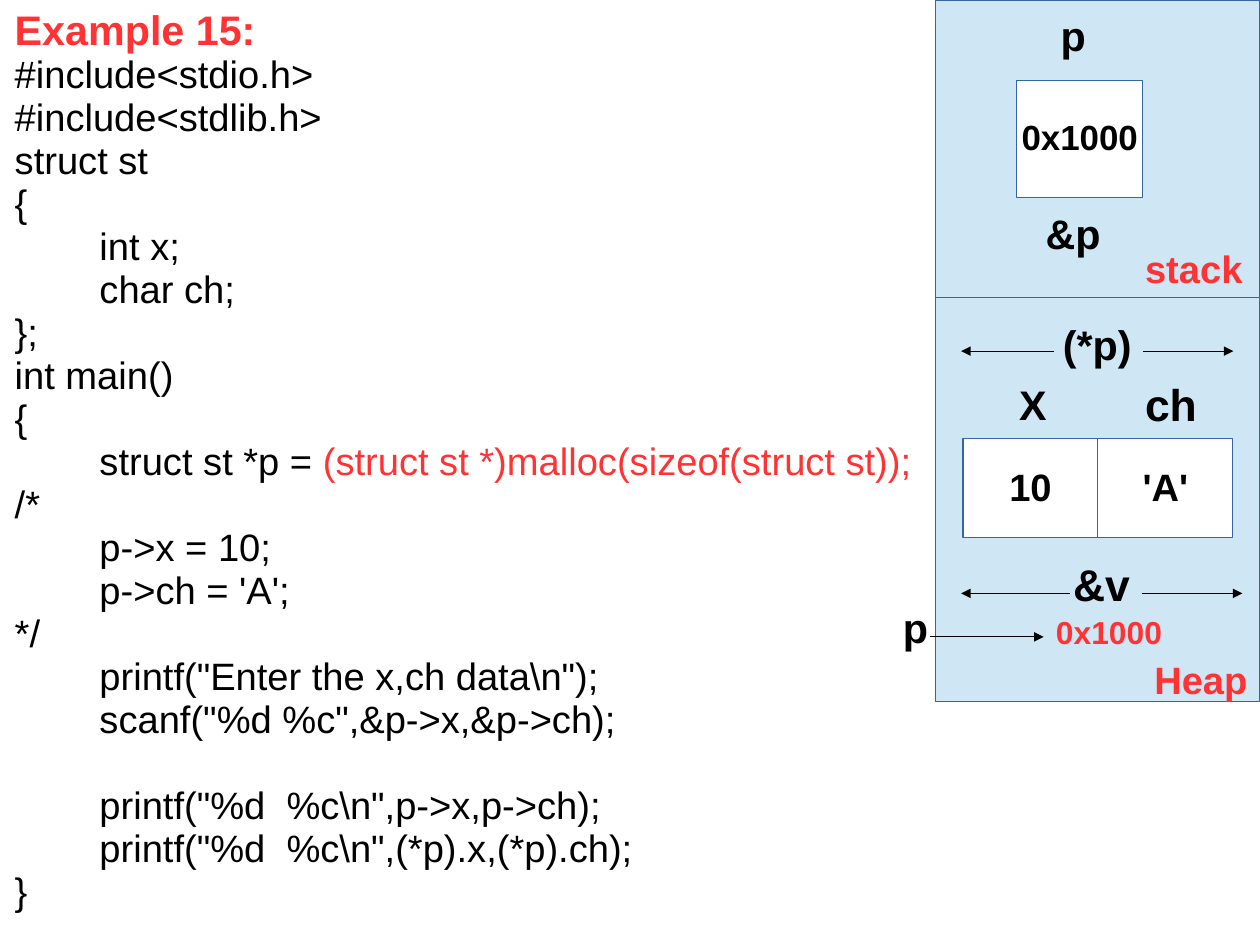
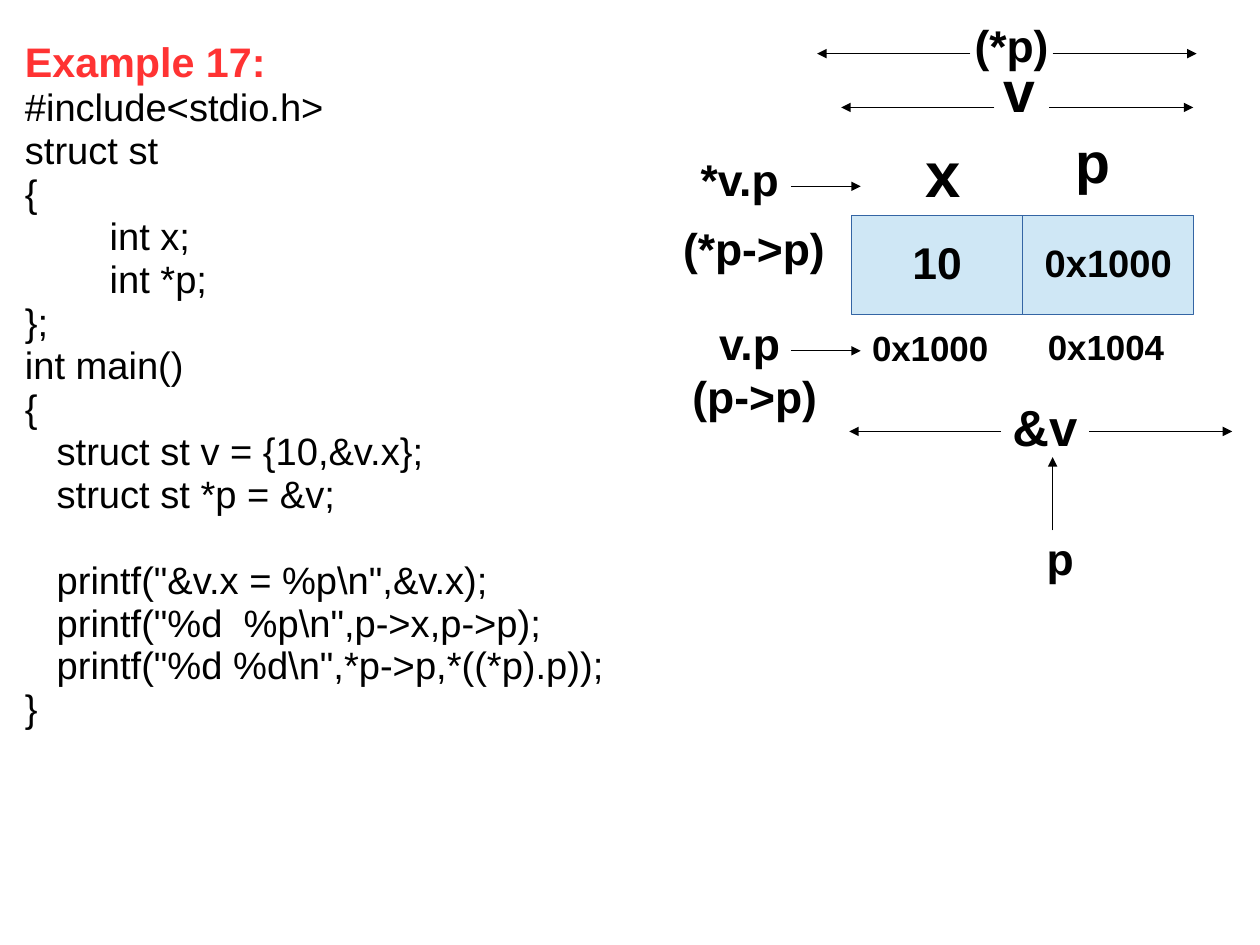
from dataclasses import dataclass
from typing import NamedTuple

from lxml import etree
from pptx import Presentation
from pptx.dml.color import RGBColor
from pptx.enum.shapes import MSO_CONNECTOR, MSO_SHAPE
from pptx.enum.text import MSO_ANCHOR, PP_ALIGN
from pptx.oxml.ns import qn
from pptx.util import Pt

RECTANGLE = MSO_SHAPE.RECTANGLE
STRAIGHT = MSO_CONNECTOR.STRAIGHT
MIDDLE = MSO_ANCHOR.MIDDLE
LEFT = PP_ALIGN.LEFT
CENTER = PP_ALIGN.CENTER
LEFT_SIDE, RIGHT_SIDE = 1, 3


@dataclass(frozen=True)
class Theme:
    """Colours, type sizes and measures shared by the slides."""
    font: str = "Arial"
    ink: RGBColor = RGBColor(0x00, 0x00, 0x00)
    accent: RGBColor = RGBColor(0xFF, 0x33, 0x33)
    panel: RGBColor = RGBColor(0xCF, 0xE7, 0xF5)
    white: RGBColor = RGBColor(0xFF, 0xFF, 0xFF)
    border: RGBColor = RGBColor(0x34, 0x65, 0xA4)
    title: float = 26
    code: float = 24
    address: float = 22
    pointer: float = 20
    name: float = 26
    value: float = 28
    whole: float = 32
    variable: float = 36
    member: float = 40
    line_width: float = 0.75
    line_spacing: float = 0.94
    shallow: float = 20
    deep: float = 53.4
    blank_line: float = 27


THEME = Theme()


class Line(NamedTuple):
    """One line of a program listing."""
    text: str
    indent: float = 0
    accent: str = ""
    gap: float = 0


EXAMPLE_15 = [
    Line("#include<stdio.h>"),
    Line("#include<stdlib.h>"),
    Line("struct st"),
    Line("{"),
    Line("int x;", THEME.deep),
    Line("char ch;", THEME.deep),
    Line("};"),
    Line("int main()"),
    Line("{"),
    Line("struct st *p = ", THEME.deep, "(struct st *)malloc(sizeof(struct st));"),
    Line("/*"),
    Line("p->x = 10;", THEME.deep),
    Line("p->ch = 'A';", THEME.deep),
    Line("*/"),
    Line(r'printf("Enter the x,ch data\n");', THEME.deep),
    Line('scanf("%d %c",&p->x,&p->ch);', THEME.deep),
    Line(r'printf("%d  %c\n",p->x,p->ch);', THEME.deep, gap=THEME.blank_line),
    Line(r'printf("%d  %c\n",(*p).x,(*p).ch);', THEME.deep),
    Line("}"),
]

EXAMPLE_17 = [
    Line("#include<stdio.h>"),
    Line("struct st"),
    Line("{"),
    Line("int x;", THEME.deep),
    Line("int *p;", THEME.deep),
    Line("};"),
    Line("int main()"),
    Line("{"),
    Line("struct st v = {10,&v.x};", THEME.shallow),
    Line("struct st *p = &v;", THEME.shallow),
    Line(r'printf("&v.x = %p\n",&v.x);', THEME.shallow, gap=THEME.blank_line),
    Line(r'printf("%d  %p\n",p->x,p->p);', THEME.shallow),
    Line(r'printf("%d %d\n",*p->p,*((*p).p));', THEME.shallow),
    Line("}"),
]


def add_run(paragraph, text, size, color=THEME.ink, bold=True):
    """Append one styled run to a paragraph."""
    run = paragraph.add_run()
    run.text = text
    run.font.name = THEME.font
    run.font.size = Pt(size)
    run.font.bold = bold
    run.font.color.rgb = color


def set_line(frame, text, size, color=THEME.ink, align=LEFT):
    """Fill a frame with one unwrapped bold line."""
    frame.word_wrap = False
    paragraph = frame.paragraphs[0]
    paragraph.alignment = align
    paragraph.line_spacing = THEME.line_spacing
    add_run(paragraph, text, size, color)


def add_listing(slide, left, top, width, height, title, lines):
    """Add a titled program listing."""
    box = slide.shapes.add_textbox(Pt(left), Pt(top), Pt(width), Pt(height))
    frame = box.text_frame
    frame.word_wrap = True
    heading = frame.paragraphs[0]
    heading.line_spacing = THEME.line_spacing
    add_run(heading, title, THEME.title, THEME.accent)
    for line in lines:
        paragraph = frame.add_paragraph()
        paragraph.line_spacing = THEME.line_spacing
        paragraph.space_before = Pt(line.gap)
        properties = paragraph._p.get_or_add_pPr()
        properties.set("marL", str(Pt(line.indent)))
        properties.set("indent", "0")
        add_run(paragraph, line.text, THEME.code, bold=False)
        if line.accent:
            add_run(paragraph, line.accent, THEME.code, THEME.accent, False)


def add_label(slide, text, left, top, width, size, color=THEME.ink):
    """Add a bold label with no right inset, its height following its type size."""
    height = 1.2 * size + 7
    label = slide.shapes.add_textbox(Pt(left), Pt(top), Pt(width), Pt(height))
    label.text_frame.margin_right = 0
    set_line(label.text_frame, text, size, color)
    return label


def add_block(slide, left, top, width, height, fill, text="", size=THEME.code):
    """Add a memory block with an optional centred value."""
    block = slide.shapes.add_shape(RECTANGLE, Pt(left), Pt(top), Pt(width), Pt(height))
    block.shadow.inherit = False
    block.fill.solid()
    block.fill.fore_color.rgb = fill
    block.line.color.rgb = THEME.border
    block.line.width = Pt(THEME.line_width)
    if text:
        block.text_frame.vertical_anchor = MIDDLE
        set_line(block.text_frame, text, size, align=CENTER)


def add_members(slide, left, top, width, height, fill, members):
    """Add adjoining blocks, one for each struct member."""
    for index, (value, size) in enumerate(members):
        add_block(slide, left + index * width, top, width, height, fill, value, size)


def add_arrow(slide, start_x, start_y, end_x, end_y):
    """Add a thin line with an arrowhead at its end."""
    arrow = slide.shapes.add_connector(
        STRAIGHT, Pt(start_x), Pt(start_y), Pt(end_x), Pt(end_y))
    arrow.line.color.rgb = THEME.ink
    arrow.line.width = Pt(THEME.line_width)
    etree.SubElement(arrow.line._get_or_add_ln(), qn("a:tailEnd"), type="triangle")
    etree.SubElement(arrow._element.spPr, qn("a:effectLst"))
    return arrow


def add_extent(slide, y, left_tip, left_start, right_start, right_tip):
    """Add two arrows pointing outwards from a label."""
    return (add_arrow(slide, left_start, y, left_tip, y),
            add_arrow(slide, right_start, y, right_tip, y))


def build_heap_slide(slide):
    """Draw a struct allocated on the heap."""
    add_listing(slide, 2.2, 1.4, 587.5, 550, "Example 15:", EXAMPLE_15)
    add_block(slide, 589.5, 0, 204.2, 187.2, THEME.panel)
    add_block(slide, 589.5, 187.2, 204.2, 254.9, THEME.panel)
    add_block(slide, 640.6, 50.8, 79.2, 73.6, THEME.white, "0x1000", THEME.address)
    add_members(slide, 606.6, 276.3, 85, 62.4, THEME.white,
                [("10", THEME.code), ("'A'", THEME.code)])
    for label in [
        ("stack", 714.2, 153.4, 75.6, THEME.code, THEME.accent),
        ("Heap", 720, 412.4, 73.4, THEME.code, THEME.accent),
        ("p", 661, 5.5, 30.2, THEME.name),
        ("&p", 651.6, 130.3, 52.6, THEME.name),
        ("(*p)", 662.4, 200.2, 57.6, THEME.name),
        ("X", 635, 238.1, 31.7, THEME.name),
        ("ch", 714.2, 236.9, 46.8, THEME.value),
        ("&v", 668.9, 349.9, 52, THEME.value),
        ("0x1000", 658.1, 384.5, 85, THEME.pointer, THEME.accent),
        ("p", 561.6, 378.7, 30.2, THEME.name),
    ]:
        add_label(slide, *label)
    add_extent(slide, 221.2, 605.5, 663.8, 720, 776.9)
    add_extent(slide, 373.8, 605.5, 673.9, 719.3, 782.6)
    add_arrow(slide, 586.1, 401.2, 657.4, 401.2)


def build_pointer_slide(slide):
    """Draw a struct that points to its own member."""
    add_listing(slide, 8.6, 22, 467.3, 482.4, "Example 17:", EXAMPLE_17)
    add_members(slide, 536.4, 135.6, 107.8, 62.4, THEME.panel,
                [("10", THEME.value), ("0x1000", THEME.code)])
    for label in [
        ("(*p)", 606.8, 10.4, 61.2, THEME.value),
        ("v", 625, 35, 34.6, THEME.variable),
        ("x", 576, 84.5, 36.7, THEME.member),
        ("p", 670.3, 79.5, 43.9, THEME.variable),
        ("*v.p", 434.2, 95, 63.4, THEME.value),
        ("(*p->p)", 423.2, 138.2, 103.7, THEME.value),
        ("v.p", 445.9, 198, 52.6, THEME.value),
        ("(p->p)", 429.1, 231.4, 92.9, THEME.value),
        ("0x1000", 542.2, 204.2, 87.8, THEME.address),
        ("0x1004", 653, 203.8, 87.8, THEME.address),
        ("p", 652.3, 333.4, 31, THEME.value),
    ]:
        add_label(slide, *label)
    add_extent(slide, 33.8, 514.8, 611.3, 663.1, 753.8)
    add_extent(slide, 67.7, 529.9, 626.4, 661, 751.7)
    whole_address = add_label(slide, "&v", 630.7, 249.1, 55.4, THEME.whole)
    to_start, to_end = add_extent(slide, 271.8, 535, 630.7, 686.1, 776.2)
    to_start.begin_connect(whole_address, LEFT_SIDE)
    to_end.begin_connect(whole_address, RIGHT_SIDE)
    for y in (117.4, 221):
        add_arrow(slide, 498.2, y, 542.2, y)
    add_arrow(slide, 663.1, 334.1, 663.1, 288)


def main():
    """Build and save the presentation."""
    presentation = Presentation()
    presentation.slide_width = Pt(793.7)
    presentation.slide_height = Pt(595.28)
    blank = presentation.slide_layouts[6]
    for build in (build_heap_slide, build_pointer_slide):
        build(presentation.slides.add_slide(blank))
    presentation.save("out.pptx")


if __name__ == "__main__":
    main()
